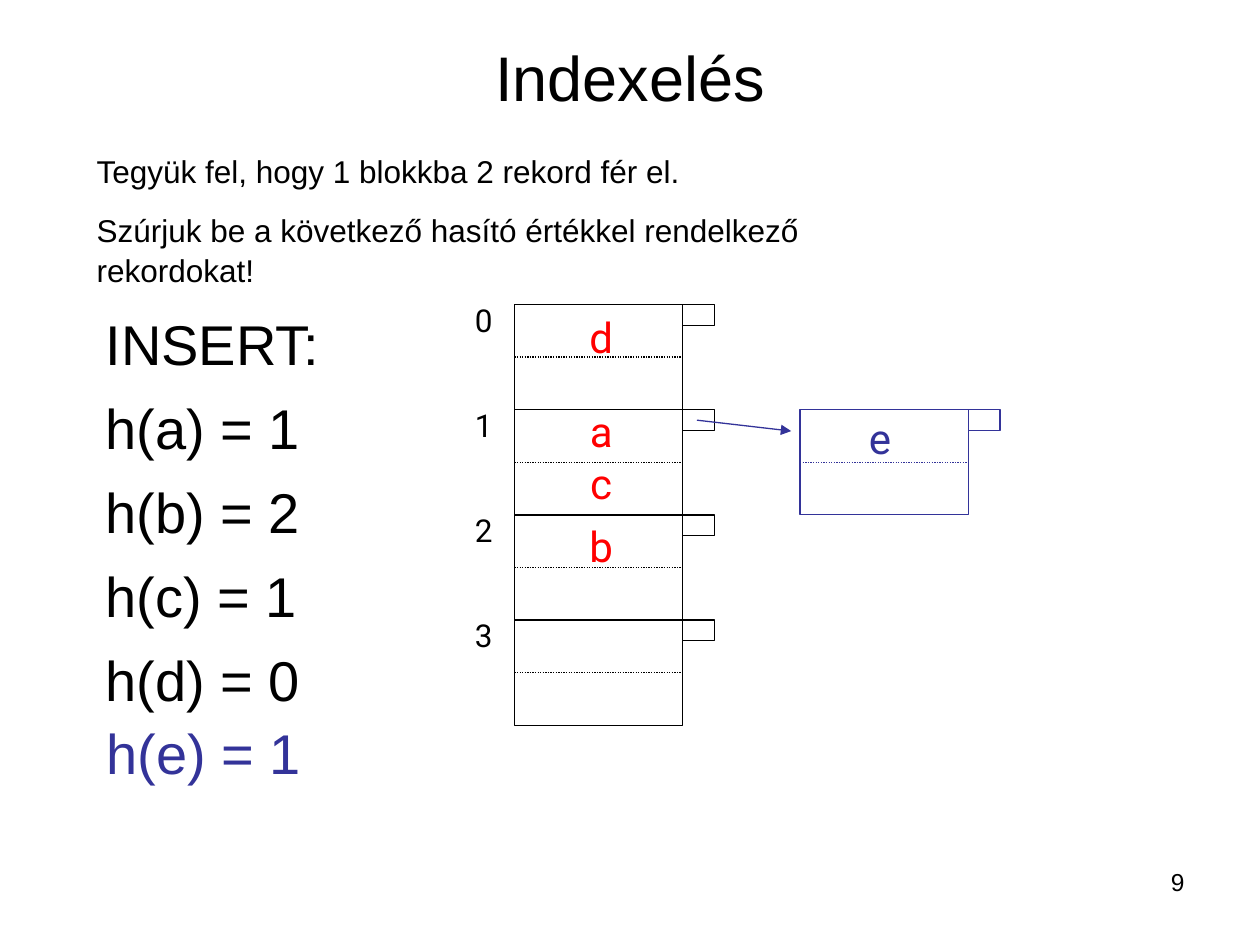
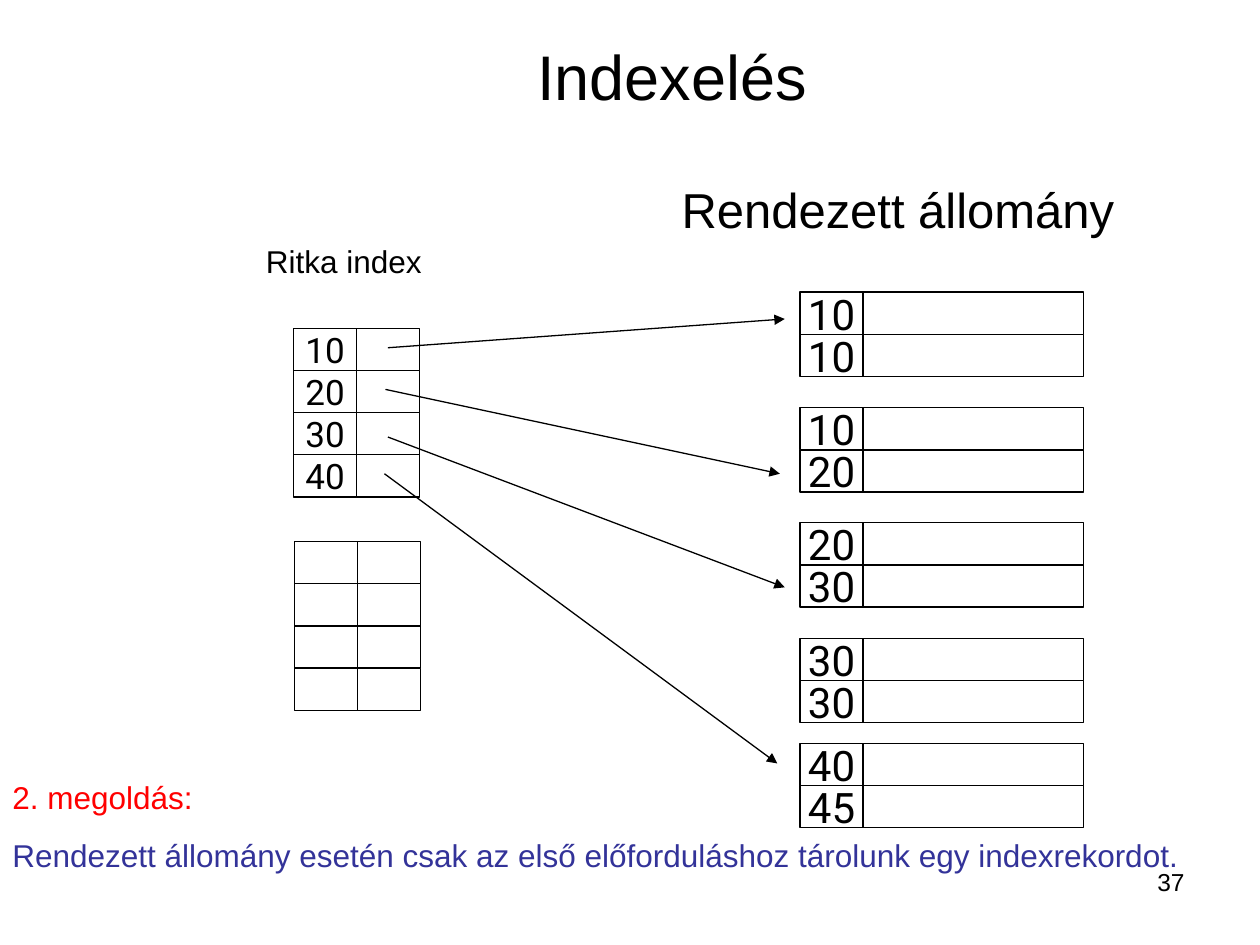
from pptx import Presentation
from pptx.dml.color import RGBColor
from pptx.enum.dml import MSO_LINE
from pptx.enum.shapes import MSO_CONNECTOR, MSO_SHAPE
from pptx.enum.text import MSO_ANCHOR, PP_ALIGN
from pptx.oxml.ns import qn
from pptx.util import Cm, Pt
from lxml import etree

COLORS = {"black": "000000", "white": "FFFFFF", "red": "FF0000", "blue": "333399"}
SANS, LABEL = "Arial", "Roboto"
LINE_WIDTH = Pt(0.75)

# Hash buckets
BUCKET_W, BUCKET_H = 3.39, 2.12
POINTER_W, POINTER_H = 0.64, 0.42
BUCKETS_X, BUCKETS_Y = 10.37, 6.14

# Index and file blocks
ROW_H, KEY_W, RECORD_W = 0.85, 1.27, 4.45


def rgb(color):
    return RGBColor.from_string(COLORS[color])


def write(frame, lines, size, font, color, align, before=0, spacing=None):
    """Fill a text frame with one paragraph per line in a single style."""
    frame.text = "\n".join(lines)
    for paragraph in frame.paragraphs:
        paragraph.alignment = align
        paragraph.space_before = Pt(before)
        paragraph.line_spacing = spacing
        for run in paragraph.runs:
            run.font.size = Pt(size)
            run.font.name = font
            run.font.color.rgb = rgb(color)


def add_text(slide, x, y, w, h, lines, size, font=SANS, color="black",
             align=PP_ALIGN.LEFT, anchor=MSO_ANCHOR.TOP, before=0, spacing=None):
    frame = slide.shapes.add_textbox(Cm(x), Cm(y), Cm(w), Cm(h)).text_frame
    frame.word_wrap = True
    frame.vertical_anchor = anchor
    write(frame, lines, size, font, color, align, before, spacing)
    return frame


def add_label(slide, center_x, center_y, text, size, color="black"):
    w, h = 1.2, 1.27
    add_text(slide, center_x - w / 2, center_y - h / 2, w, h, [text], size, LABEL,
             color, PP_ALIGN.CENTER, MSO_ANCHOR.MIDDLE)


def add_cell(slide, x, y, w, h, text="", size=24, color="black"):
    cell = slide.shapes.add_shape(MSO_SHAPE.RECTANGLE, Cm(x), Cm(y), Cm(w), Cm(h))
    cell.shadow.inherit = False
    cell.fill.solid()
    cell.fill.fore_color.rgb = rgb("white")
    cell.line.color.rgb = rgb(color)
    cell.line.width = LINE_WIDTH
    if text:
        cell.text_frame.word_wrap = False
        cell.text_frame.vertical_anchor = MSO_ANCHOR.MIDDLE
        write(cell.text_frame, [text], size, LABEL, color, PP_ALIGN.CENTER)


def add_line(slide, x1, y1, x2, y2, color="black", dotted=False, arrow=False):
    line = slide.shapes.add_connector(MSO_CONNECTOR.STRAIGHT,
                                      Cm(x1), Cm(y1), Cm(x2), Cm(y2))
    line.line.color.rgb = rgb(color)
    line.line.width = LINE_WIDTH
    if dotted:
        line.line.dash_style = MSO_LINE.ROUND_DOT
    if arrow:
        etree.SubElement(line.line._get_or_add_ln(), qn("a:tailEnd"), type="triangle")
    etree.SubElement(line._element.spPr, qn("a:effectLst"))


def add_bucket(slide, x, y, color="black"):
    """A block for two records with a small overflow pointer on its right."""
    add_cell(slide, x, y, BUCKET_W, BUCKET_H, color=color)
    add_cell(slide, x + BUCKET_W, y, POINTER_W, POINTER_H, color=color)
    middle = y + BUCKET_H / 2
    add_line(slide, x, middle, x + BUCKET_W, middle, color, dotted=True)


def add_block(slide, x, y, keys, value_w, size):
    """Rows of a key cell and an empty value cell."""
    for row, key in enumerate(keys):
        top = y + row * ROW_H
        add_cell(slide, x, top, KEY_W, ROW_H, key, size)
        add_cell(slide, x + KEY_W, top, value_w, ROW_H)


def add_base(deck, title_box, number):
    """A blank slide with the shared title and page number."""
    slide = deck.slides.add_slide(deck.slide_layouts[6])
    add_text(slide, *title_box, ["Indexelés"], 36, align=PP_ALIGN.CENTER,
             anchor=MSO_ANCHOR.MIDDLE)
    add_text(slide, 18.21, 17.35, 5.92, 1.32, [number], 14, align=PP_ALIGN.RIGHT)
    return slide


def build_hashing(deck):
    slide = add_base(deck, (1.27, 0.76, 22.86, 1.55), "9")
    add_text(slide, 1.7, 2.92, 16, 2.95,
             ["Tegyük fel, hogy 1 blokkba 2 rekord fér el.",
              "Szúrjuk be a következő hasító értékkel rendelkező rekordokat!"],
             18, before=11.2, spacing=1.04)

    # Inserted hash values
    add_text(slide, 1.88, 6.07, 5.1, 8.08,
             ["INSERT:", "h(a) = 1", "h(b) = 2", "h(c) = 1", "h(d) = 0"],
             32, before=8, spacing=1.04)
    add_text(slide, 1.9, 14.3, 4.78, 1.75, ["h(e) = 1"], 32, color="blue", spacing=1.04)

    # Numbered buckets and their records
    for number in range(4):
        top = BUCKETS_Y + number * BUCKET_H
        add_bucket(slide, BUCKETS_X, top)
        add_label(slide, 9.75, top + 0.3, str(number), 18)
    for record, center_y in (("d", 6.78), ("a", 8.69), ("c", 9.73), ("b", 11)):
        add_label(slide, 12.12, center_y, record, 24, "red")

    # Overflow block of bucket 1
    overflow_x, overflow_y = 16.13, BUCKETS_Y + BUCKET_H
    add_bucket(slide, overflow_x, overflow_y, "blue")
    add_line(slide, 14.05, 8.47, 15.95, 8.69, "blue", arrow=True)
    add_label(slide, 17.74, 8.82, "e", 24, "blue")


def build_sparse_index(deck):
    slide = add_base(deck, (8.89, 0.53, 9.32, 1.96), "37")
    add_text(slide, 13.49, 2.92, 10.01, 2.59, ["Rendezett állomány"], 28,
             anchor=MSO_ANCHOR.MIDDLE)
    add_text(slide, 5.11, 4.72, 4.19, 1.02, ["Ritka index"], 18, spacing=1.04)

    # Sorted file
    file_blocks = ((5.89, ("10", "10")), (8.22, ("10", "20")), (10.54, ("20", "30")),
                   (12.87, ("30", "30")), (14.99, ("40", "45")))
    for top, keys in file_blocks:
        add_block(slide, 16.13, top, keys, RECORD_W, 24)

    # Index blocks, the second one still empty
    add_block(slide, 5.92, 6.62, ("10", "20", "30", "40"), KEY_W, 20)
    add_block(slide, 5.94, 10.92, [""] * 4, KEY_W, 20)

    # Pointers from the index into the file
    for pointer in ((7.82, 7.01, 15.82, 6.43), (7.77, 7.85, 15.72, 9.55),
                    (7.82, 8.81, 15.82, 11.84), (7.75, 9.55, 15.67, 15.39)):
        add_line(slide, *pointer, arrow=True)

    # Explanation
    solution = add_text(slide, 0, 15.52, 24.21, 2.18,
                        ["2. megoldás:",
                         "Rendezett állomány esetén csak az első előforduláshoz "
                         "tárolunk egy indexrekordot."],
                        18, color="blue", before=11.2, spacing=1.04)
    solution.paragraphs[0].runs[0].font.color.rgb = rgb("red")


def main():
    deck = Presentation()
    deck.slide_width, deck.slide_height = Cm(25.4), Cm(19.05)
    build_hashing(deck)
    build_sparse_index(deck)
    deck.save("out.pptx")


if __name__ == "__main__":
    main()
